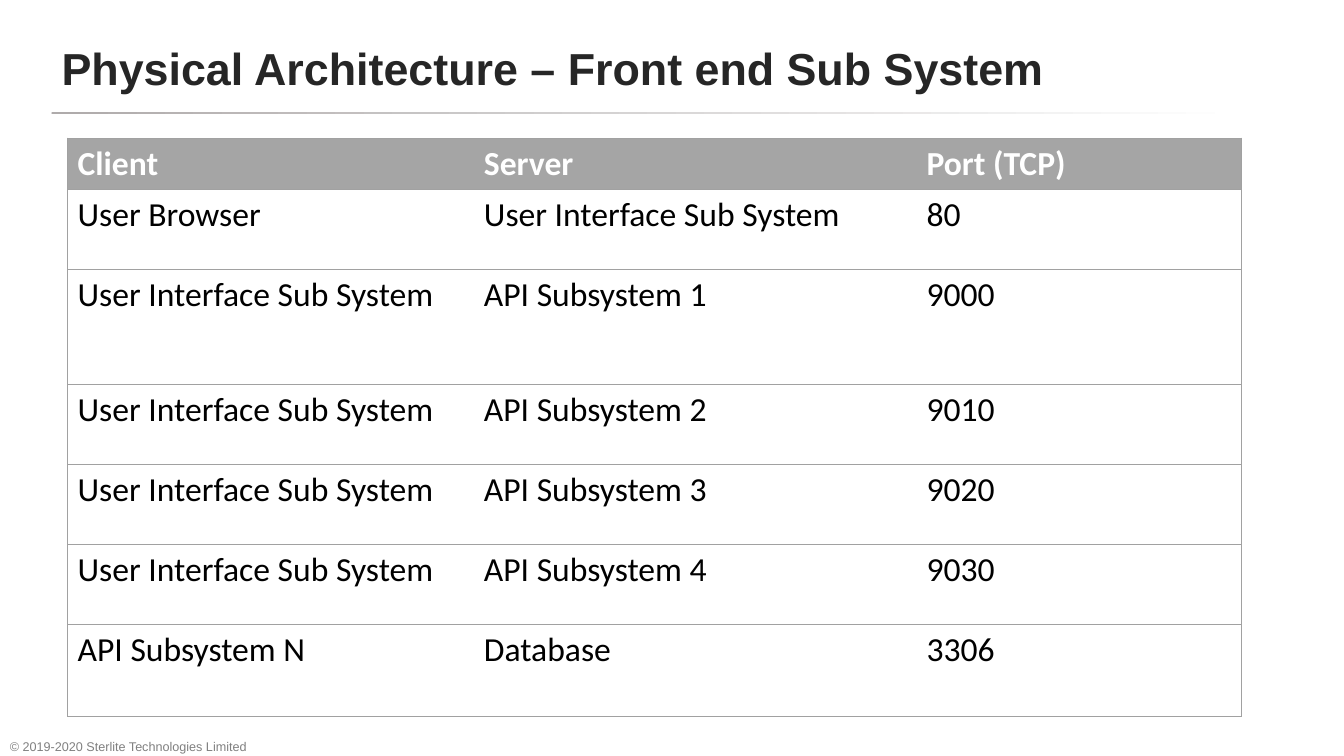
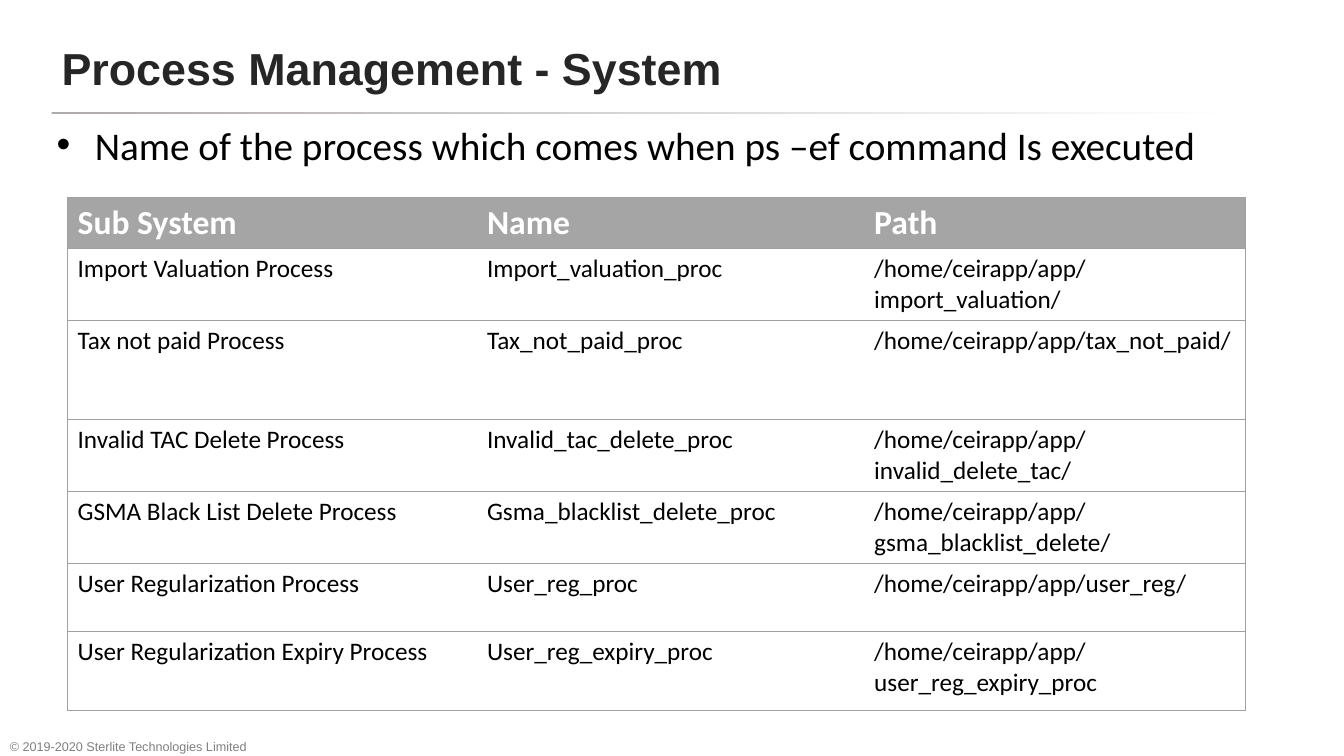
from lxml.etree import SubElement
from pptx import Presentation
from pptx.dml.color import RGBColor
from pptx.enum.shapes import MSO_SHAPE as Shape
from pptx.enum.text import MSO_ANCHOR as Anchor, PP_ALIGN as Align
from pptx.oxml.ns import qn
from pptx.util import Inches, Pt

hue = RGBColor.from_string
GREY, WHITE, BLACK = "A1A1A1", "FFFFFF", "000000"
HEAD, SOFT, DARK, PALE = "A5A5A5", "808080", "262626", "AFABAB"

deck = Presentation()
deck.slide_width, deck.slide_height = Inches(13.33), Inches(7.5)


def area(x, y, w, h):
    wide, high = deck.slide_width / 100, deck.slide_height / 100
    return int(x * wide), int(y * high), int(w * wide), int(h * high)


def style(para, face, size, tint, bold=False):
    font = para.font
    font.name, font.size, font.bold = face, Pt(size), bold
    font.color.rgb = hue(tint)


UI = "User Interface Sub System"
APP = "/home/ceirapp/app/"
pages = [
    {
        "title": "Physical Architecture – Front end Sub System",
        "note": None,
        "top": 18.27,
        "size": 24,
        "cols": [30.23, 32.93, 24.15],
        "rows": [6.75, 10.58, 15.27, 10.58, 10.58, 10.58, 12.2],
        "cells": [
            ("Client", "Server", "Port (TCP)"),
            ("User Browser", UI, "80"),
            *[(UI, f"API Subsystem {n}", str(8990 + 10 * n)) for n in range(1, 5)],
            ("API Subsystem N", "Database", "3306"),
        ],
    },
    {
        "title": "Process Management - System",
        "note": "Name of the process which comes when ps –ef command Is executed",
        "top": 26.13,
        "size": 18,
        "cols": [30.46, 28.81, 28.36],
        "rows": [6.75, 9.47, 13.2, 9.47, 9.47, 9.07, 10.4],
        "cells": [
            ("Sub System", "Name", "Path"),
            ("Import Valuation Process", "Import_valuation_proc", APP + "import_valuation/"),
            ("Tax not paid Process", "Tax_not_paid_proc", APP + "tax_not_paid/"),
            ("Invalid TAC Delete Process", "Invalid_tac_delete_proc", APP + "invalid_delete_tac/"),
            ("GSMA Black List Delete Process", "Gsma_blacklist_delete_proc", APP + "gsma_blacklist_delete/"),
            ("User Regularization Process", "User_reg_proc", APP + "user_reg/"),
            ("User Regularization Expiry Process", "User_reg_expiry_proc", APP + "user_reg_expiry_proc"),
        ],
    },
]
ports = pages[0]["cells"]
assert [row[2] for row in ports[2:6]] == ["9000", "9010", "9020", "9030"]

for page in pages:
    slide = deck.slides.add_slide(deck.slide_layouts[5])
    shapes = slide.shapes

    rule = shapes.add_shape(Shape.ROUNDED_RECTANGLE, *area(3.83, 14.8, 92.35, 0.3))
    rule.adjustments[0] = 0.5
    rule.shadow.inherit = False
    rule.line.fill.background()
    rule.fill.gradient()
    rule.fill.gradient_angle = 0
    for stop, tint, spot in zip(rule.fill.gradient_stops, (PALE, WHITE), (0, 0.96)):
        stop.color.rgb, stop.position = hue(tint), spot

    foot = shapes.add_textbox(*area(0, 96.27, 22.73, 4.13)).text_frame
    foot.word_wrap = True
    foot.vertical_anchor = Anchor.BOTTOM
    foot.text = "© 2019-2020 Sterlite Technologies Limited"
    style(foot.paragraphs[0], "Arial", 9, SOFT)

    title = shapes.title
    title.left, title.top, title.width, title.height = area(3.83, 3.07, 80.5, 11.73)
    title.text = page["title"]
    title.text_frame.vertical_anchor = Anchor.MIDDLE
    para = title.text_frame.paragraphs[0]
    para.alignment = Align.LEFT
    style(para, "Arial", 32, DARK, True)

    if page["note"]:
        note = shapes.add_textbox(*area(3.83, 15.33, 87.25, 10)).text_frame
        note.word_wrap = True
        note.margin_left = note.margin_right = Inches(0.05)
        note.text = page["note"]
        para = note.paragraphs[0]
        props = para._p.get_or_add_pPr()
        props.set("marL", str(Inches(0.38)))
        props.set("indent", str(-Inches(0.38)))
        SubElement(props, qn("a:buFont"), typeface="Arial")
        SubElement(props, qn("a:buChar"), char="•")
        style(para, "Calibri", 28, BLACK)

    cols, rows, cells = page["cols"], page["rows"], page["cells"]
    spot = area(5.03, page["top"], sum(cols), sum(rows))
    table = shapes.add_table(len(rows), len(cols), *spot).table
    table.horz_banding = False
    for col, share in zip(table.columns, cols):
        col.width = area(0, 0, share, 0)[2]
    for row, share in zip(table.rows, rows):
        row.height = area(0, 0, 0, share)[3]

    for r, texts in enumerate(cells):
        for c, text in enumerate(texts):
            cell = table.cell(r, c)
            cell.text = text
            size, tint = (page["size"], BLACK) if r else (24, WHITE)
            style(cell.text_frame.paragraphs[0], "Calibri", size, tint, r == 0)
            props = cell._tc.get_or_add_tcPr()
            drawn = {"L": c == 0, "R": c == len(cols) - 1, "T": True, "B": True}
            for side, shown in drawn.items():
                edge = SubElement(props, qn(f"a:ln{side}"), w=str(Pt(0.75)))
                if shown:
                    fill = SubElement(edge, qn("a:solidFill"))
                    SubElement(fill, qn("a:srgbClr"), val=GREY)
                else:
                    SubElement(edge, qn("a:noFill"))
            if r:
                cell.fill.background()
            else:
                cell.fill.solid()
                cell.fill.fore_color.rgb = hue(HEAD)

deck.save("out.pptx")
